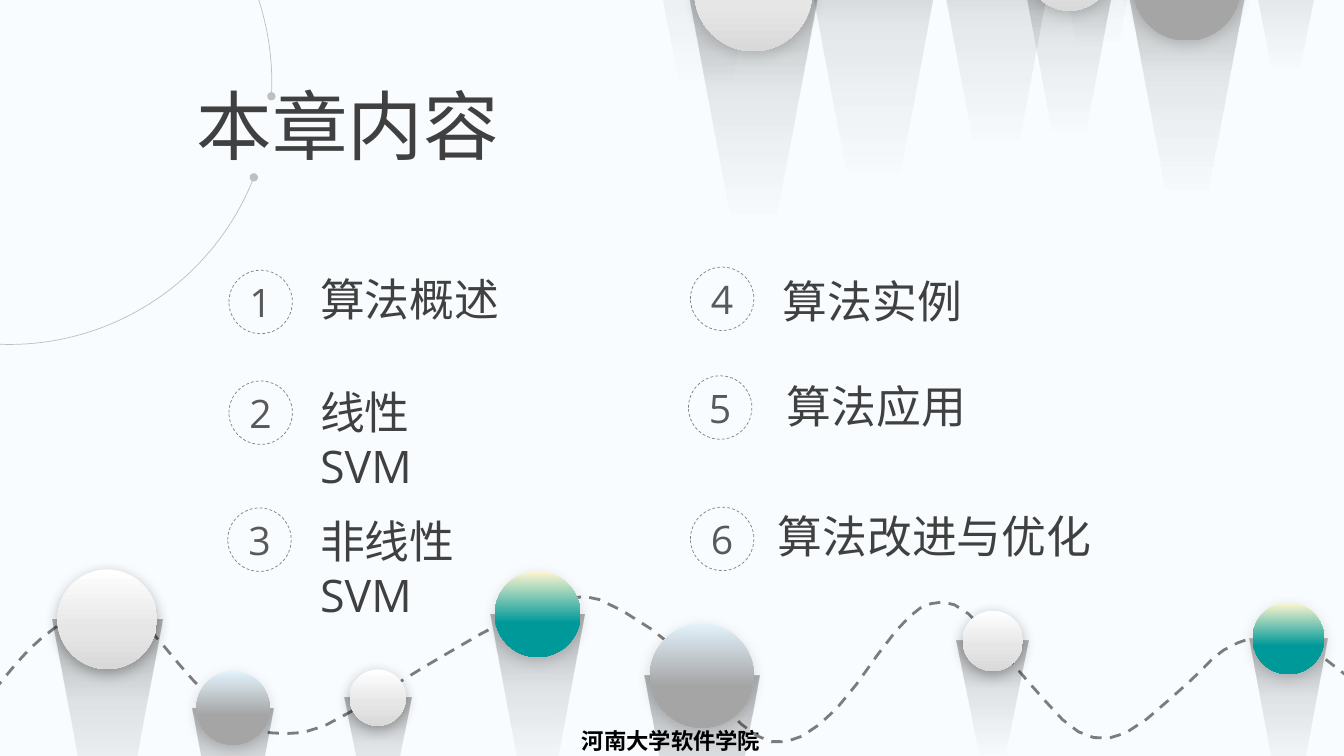
from lxml import etree
from pptx import Presentation
from pptx.dml.color import RGBColor
from pptx.enum.dml import MSO_LINE
from pptx.enum.shapes import MSO_SHAPE
from pptx.enum.text import MSO_ANCHOR, PP_ALIGN
from pptx.oxml import parse_xml
from pptx.oxml.ns import qn
from pptx.util import Cm, Pt

OVAL, ARC, DASH = MSO_SHAPE.OVAL, MSO_SHAPE.ARC, MSO_LINE.DASH
LEFT, CENTER = PP_ALIGN.LEFT, PP_ALIGN.CENTER
TOP, MIDDLE = MSO_ANCHOR.TOP, MSO_ANCHOR.MIDDLE
NS = 'xmlns:a="http://schemas.openxmlformats.org/drawingml/2006/main"'

HUE = {"back": "F8FCFE", "title": "404040", "digit": "595959", "ring": "808080",
       "wave": "7C7C7C", "arc": "BFBFBF", "black": "000000"}
# Gradient stops from top to bottom: position, colour, opacity
FADE = {
    "top": [(0, "262626", 30), (30, "000000", 8), (50, "000000", 4), (70, "000000", 0)],
    "low": [(0, "000000", 30), (30, "000000", 10), (50, "000000", 5), (70, "000000", 0)],
}
BALL = {
    "pearl": [(0, "FFFFFF", 100), (60, "E7E6E6", 100), (100, "D9D9D9", 100)],
    "grey": [(1, "E1F0F9", 100), (60, "A5A5A5", 100), (100, "A5A5A5", 100)],
    "teal": [(0, "FFF6CF", 100), (60, "009999", 100), (100, "009999", 100)],
}
# Outline of a cone as shares of its width and height
CONE = [(1, 0), (0.71, 0.63), (0.58, 0.9), (0.5, 1), (0.42, 0.9), (0.29, 0.63), (0, 0)]


def trace(spots, close):
    """Draw an outline through spots given in cm."""
    spots = [(Cm(x), Cm(y)) for x, y in spots]
    pen = slide.shapes.build_freeform(*spots[0])
    pen.add_line_segments(spots[1:], close=close)
    shape = pen.convert_to_shape()
    shape.shadow.inherit = False
    return shape


def blend(shape, stops):
    """Fill a shape with a vertical gradient and no line."""
    shape.line.fill.background()
    shape.fill.solid()
    marks = "".join(
        f'<a:gs pos="{pos * 1000}"><a:srgbClr val="{hue}">'
        f'<a:alpha val="{alpha * 1000}"/></a:srgbClr></a:gs>' for pos, hue, alpha in stops)
    grad = parse_xml(f'<a:gradFill {NS} rotWithShape="1"><a:gsLst>{marks}</a:gsLst>'
                     '<a:lin ang="5400000" scaled="0"/></a:gradFill>')
    props = shape._element.spPr
    props.replace(props.find(qn("a:solidFill")), grad)


deck = Presentation()
deck.slide_width, deck.slide_height = Cm(33.87), Cm(19.05)
slide = deck.slides.add_slide(deck.slide_layouts[5])
slide.background.fill.solid()
slide.background.fill.fore_color.rgb = RGBColor.from_string(HUE["back"])

# Texts: box, words, size, font, colour, alignment, anchor, filled in at the end
texts = []
foot = slide.shapes.add_textbox(Cm(12.52), Cm(18.21), Cm(8.79), Cm(0.84))
texts.append((foot, "河南大学软件学院", 16, "DejaVu Sans", "black", CENTER, TOP))

# Arc in the top left corner
arc = slide.shapes.add_shape(ARC, Cm(-6.38), Cm(-4.55), Cm(13.23), Cm(13.23))
arc.adjustments[0], arc.adjustments[1] = 12.794, 1.883
arc.shadow.inherit = False
arc.fill.background()
arc.line.color.rgb = RGBColor.from_string(HUE["arc"])
arc.line.width = Pt(0.5)
for tip in ("a:headEnd", "a:tailEnd"):
    etree.SubElement(arc._element.spPr.find(qn("a:ln")), qn(tip)).set("type", "oval")

# Dashed wave: a smooth curve through these nodes
nodes = [
    (-0.15, 17.4), (0.74, 16.36), (1.63, 15.65), (2.34, 15.29), (3.18, 15.39),
    (3.78, 15.88), (4.85, 17.12), (5.69, 17.91), (6.25, 18.29), (6.88, 18.47),
    (8.18, 18.29), (10.72, 16.79), (12.7, 15.67), (14.07, 15.19), (15.11, 15.11),
    (17.02, 16.33), (18.67, 18.24), (19.81, 18.69), (21.08, 17.86), (22.58, 15.9),
    (23.47, 15.21), (24.41, 15.47), (25.93, 17.2), (27.18, 18.44), (28.37, 18.47),
    (29.95, 17.2), (30.84, 16.38), (31.95, 16), (32.89, 16.26), (34.09, 17.15)]
ends = [nodes[0]] + nodes + [nodes[-1]]
spots = [nodes[0]]
for four in zip(ends, ends[1:], ends[2:], ends[3:]):
    for t in (0.33, 0.67, 1):
        spots.append(tuple(
            q + t / 2 * (r - p + t * (2 * p - 5 * q + 4 * r - s + t * (3 * (q - r) + s - p)))
            for p, q, r, s in zip(*four)))
wave = trace(spots, False)
wave.fill.background()
wave.line.color.rgb = RGBColor.from_string(HUE["wave"])
wave.line.width = Pt(2)
wave.line.dash_style = DASH

# Cones of shade: left, top, width, height, fade; each ball adds one below itself
cones = [(*box, "top") for box in [
    (22.45, -3.66, 1.63, 4.06), (24.82, -4.14, 2.13, 5.33), (23.6, -7.19, 3.48, 8.64),
    (22.66, -5.33, 2.62, 6.5), (31.42, -1.5, 1.98, 4.65), (23.47, -2.06, 3.25, 8.13),
    (15.88, -4.45, 3.78, 9.37), (19.86, -4.11, 2.29, 5.66), (19.35, -5.66, 2.44, 5.99),
    (20.12, -2.16, 3.78, 9.37), (18.59, -3.05, 2.54, 6.35), (26.16, -4.09, 3, 7.44),
    (27.99, -2.64, 1.75, 3.96)]]
balls = [
    (25.86, -1.91, 2.18, "pearl", "top"), (17.5, -1.68, 2.97, "pearl", "top"),
    (28.55, -1.7, 2.72, "grey", "top"), (1.45, 14.35, 2.51, "pearl", "low"),
    (4.95, 16.92, 1.85, "grey", "low"), (8.81, 16.87, 1.42, "pearl", "low"),
    (12.47, 14.4, 2.16, "teal", "low"), (16.38, 15.72, 2.62, "grey", "low"),
    (24.26, 15.39, 1.52, "pearl", "low"), (31.57, 15.19, 1.8, "teal", "low")]
for x, y, size, kind, zone in balls:
    wide = size * (1.19 if size < 1.6 else 1.1)
    cones.append((x + (size - wide) / 2, y + size / 2, wide, size * 2.73, zone))
for x, y, w, h, zone in cones:
    cone = trace([(x + w * a, y + h * b) for a, b in CONE], True)
    blend(cone, FADE[zone])

for x, y, size, kind, zone in balls:
    ball = slide.shapes.add_shape(OVAL, Cm(x), Cm(y), Cm(size), Cm(size))
    ball.shadow.inherit = False
    blend(ball, BALL[kind])
    alpha = 30 if (kind, zone) == ("pearl", "low") else 15
    ball._element.spPr.find(qn("a:effectLst")).append(parse_xml(
        f'<a:outerShdw {NS} blurRad="{Pt(10)}" dist="{Pt(3)}" dir="5400000" algn="t" '
        f'rotWithShape="0"><a:srgbClr val="{HUE["black"]}">'
        f'<a:alpha val="{alpha * 1000}"/></a:srgbClr></a:outerShdw>'))

title = slide.shapes.title
title.left, title.top, title.width, title.height = Cm(4.7), Cm(1.85), Cm(8.2), Cm(2.57)
texts.append((title, "本章内容", 54, "Open Sans", "title", LEFT, TOP))

# Chapter list: ring left and top, label left, top and width
parts = [
    ("算法概述", 5.77, 6.81, 7.82, 6.73, 5.08),
    ("线性SVM", 5.77, 9.6, 7.82, 9.58, 4.83),
    ("非线性SVM", 5.74, 12.8, 7.82, 12.83, 5.84),
    ("算法实例", 17.4, 6.73, 19.48, 6.78, 5.08),
    ("算法应用", 17.35, 9.47, 19.58, 9.42, 5.08),
    ("算法改进与优化", 17.4, 12.78, 19.35, 12.7, 8.48)]
for num, (words, x, y, left, top, width) in enumerate(parts, 1):
    ring = slide.shapes.add_shape(OVAL, Cm(x), Cm(y), Cm(1.6), Cm(1.6))
    ring.shadow.inherit = False
    ring.fill.background()
    ring.line.color.rgb = RGBColor.from_string(HUE["ring"])
    ring.line.width = Pt(0.5)
    ring.line.dash_style = DASH
    frame = ring.text_frame
    frame.margin_left = frame.margin_right = frame.margin_top = frame.margin_bottom = 0
    texts.append((ring, str(num), 28, "Open Sans", "digit", CENTER, MIDDLE))
    label = slide.shapes.add_textbox(Cm(left), Cm(top), Cm(width), Cm(1.62))
    texts.append((label, words, 32, "Open Sans", "title", LEFT, TOP))

for box, words, size, face, hue, align, anchor in texts:
    frame = box.text_frame
    frame.text = words
    frame.word_wrap = True
    frame.vertical_anchor = anchor
    line = frame.paragraphs[0]
    line.alignment = align
    font = line.runs[0].font
    font.size, font.name, font.bold = Pt(size), face, box is foot
    font.color.rgb = RGBColor.from_string(HUE[hue])

deck.save("out.pptx")
